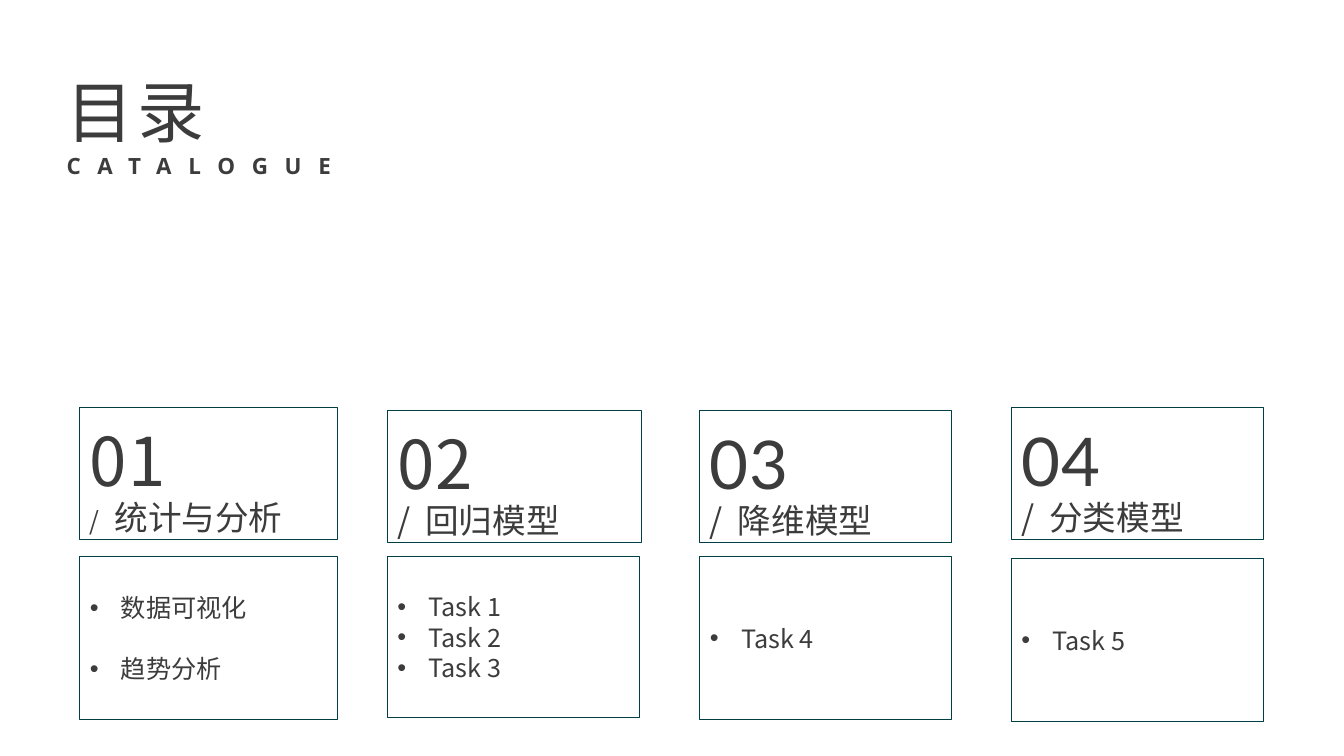
from pptx import Presentation
from pptx.dml.color import RGBColor
from pptx.enum import shapes, text
from pptx.oxml import ns
from pptx.util import Inches, Pt
from lxml import etree

INK = RGBColor(0x3C, 0x3C, 0x3C)
TEAL = RGBColor(0x00, 0x3F, 0x43)
CJK = "Noto Sans CJK SC"
COMPARISON_LAYOUT = 4  # a title and four body placeholders

# left, top, width of heading; top, width, height of list
CHAPTERS = [
    dict(number="01", name="统计与分析", left=0.79, top=4.04, width=2.56, slash=18,
         font=CJK, list_at=(5.52, 2.56, 1.62), items=["数据可视化", "趋势分析"], gap=21.5),
    dict(number="02", name="回归模型", left=3.84, top=4.07, width=2.52, slash=24,
         font=CJK, list_at=(5.52, 2.5, 1.6), items=["Task 1", "Task 2", "Task 3"], gap=0),
    dict(number="03", name="降维模型", left=6.94, top=4.07, width=2.5, slash=24,
         font="Lato", list_at=(5.52, 2.5, 1.62), items=["Task 4"], gap=0),
    dict(number="04", name="分类模型", left=10.03, top=4.04, width=2.5, slash=24,
         font="Lato", list_at=(5.54, 2.5, 1.62), items=["Task 5"], gap=0),
]


def add_span(para, words, size=18, font=CJK, spacing=0, bold=False):
    span = para.add_run()
    span.text = words
    span.font.size = Pt(size)
    span.font.name = font
    span.font.bold = bold
    span.font.color.rgb = INK
    props = span.font._element
    props.set("spc", str(spacing * 100))
    east_asian = etree.Element(ns.qn("a:ea"), typeface=CJK)
    props.find(ns.qn("a:latin")).addnext(east_asian)


def set_para(para, line, before=0, after=0):
    para.alignment = text.PP_ALIGN.LEFT
    para.line_spacing = Pt(line)
    para.space_before = Pt(before)
    para.space_after = Pt(after)


def set_bullet(para, indent):
    props = para._p.get_or_add_pPr()
    props.set("marL", str(Inches(indent)))
    props.set("indent", str(-Inches(indent)))
    etree.SubElement(props, ns.qn("a:buFont"), typeface="Arial")
    etree.SubElement(props, ns.qn("a:buChar"), char="•")


class CataloguePage:
    """Holds the slide and the look shared by its boxes."""

    def __init__(self, deck):
        self.page = deck.slides.add_slide(deck.slide_layouts[COMPARISON_LAYOUT])
        holders = list(self.page.placeholders)
        self.bodies = iter([holder for holder in holders
                            if 1 <= holder.placeholder_format.idx <= 4])
        for holder in holders:
            if holder.placeholder_format.idx > 4:
                holder._element.getparent().remove(holder._element)

    def place(self, box, left, top, width, height, anchor=text.MSO_ANCHOR.TOP, wrap=True):
        box.left, box.top = Inches(left), Inches(top)
        box.width, box.height = Inches(width), Inches(height)
        frame = box.text_frame
        frame.auto_size = text.MSO_AUTO_SIZE.NONE
        frame.word_wrap = wrap
        frame.vertical_anchor = anchor
        return frame

    def outline(self, box):
        box.fill.background()
        box.line.color.rgb = TEAL
        box.line.width = Pt(0.75)

    def title(self, words, subtitle):
        frame = self.place(self.page.shapes.title, 0.56, 0.6, 3.03, 1.22, wrap=False)
        para = frame.paragraphs[0]
        set_para(para, 61, after=3)
        add_span(para, words, 48, spacing=3)
        para = frame.add_paragraph()
        set_para(para, 17, after=3)
        add_span(para, subtitle, 16, "Open Sans", spacing=12, bold=True)

    def heading(self, number, name, left, top, width, slash, font):
        box = self.page.shapes.add_shape(shapes.MSO_SHAPE.RECTANGLE, 0, 0, 0, 0)
        box.shadow.inherit = False
        self.outline(box)
        frame = self.place(box, left, top, width, 1.31)
        para = frame.paragraphs[0]
        set_para(para, 62.5)
        add_span(para, number, 48, font, spacing=1)
        para = frame.add_paragraph()
        set_para(para, 26.5)
        add_span(para, "/", slash)
        add_span(para, "  " + name, 24)

    def bullets(self, items, left, top, width, height, gap):
        box = next(self.bodies)
        self.outline(box)
        frame = self.place(box, left, top, width, height, text.MSO_ANCHOR.MIDDLE)
        for order, item in enumerate(items):
            para = frame.add_paragraph() if order else frame.paragraphs[0]
            set_para(para, 21.8, before=gap if order else 0)
            set_bullet(para, 0.31)
            add_span(para, item)


def main():
    deck = Presentation()
    deck.slide_width, deck.slide_height = Inches(13.33), Inches(7.5)
    catalogue = CataloguePage(deck)
    catalogue.title("目录", "CATALOGUE")
    for chapter in CHAPTERS:
        catalogue.heading(*(chapter[key] for key in
                            ("number", "name", "left", "top", "width", "slash", "font")))
        catalogue.bullets(chapter["items"], chapter["left"], *chapter["list_at"],
                          chapter["gap"])
    deck.save("out.pptx")


if __name__ == "__main__":
    main()
